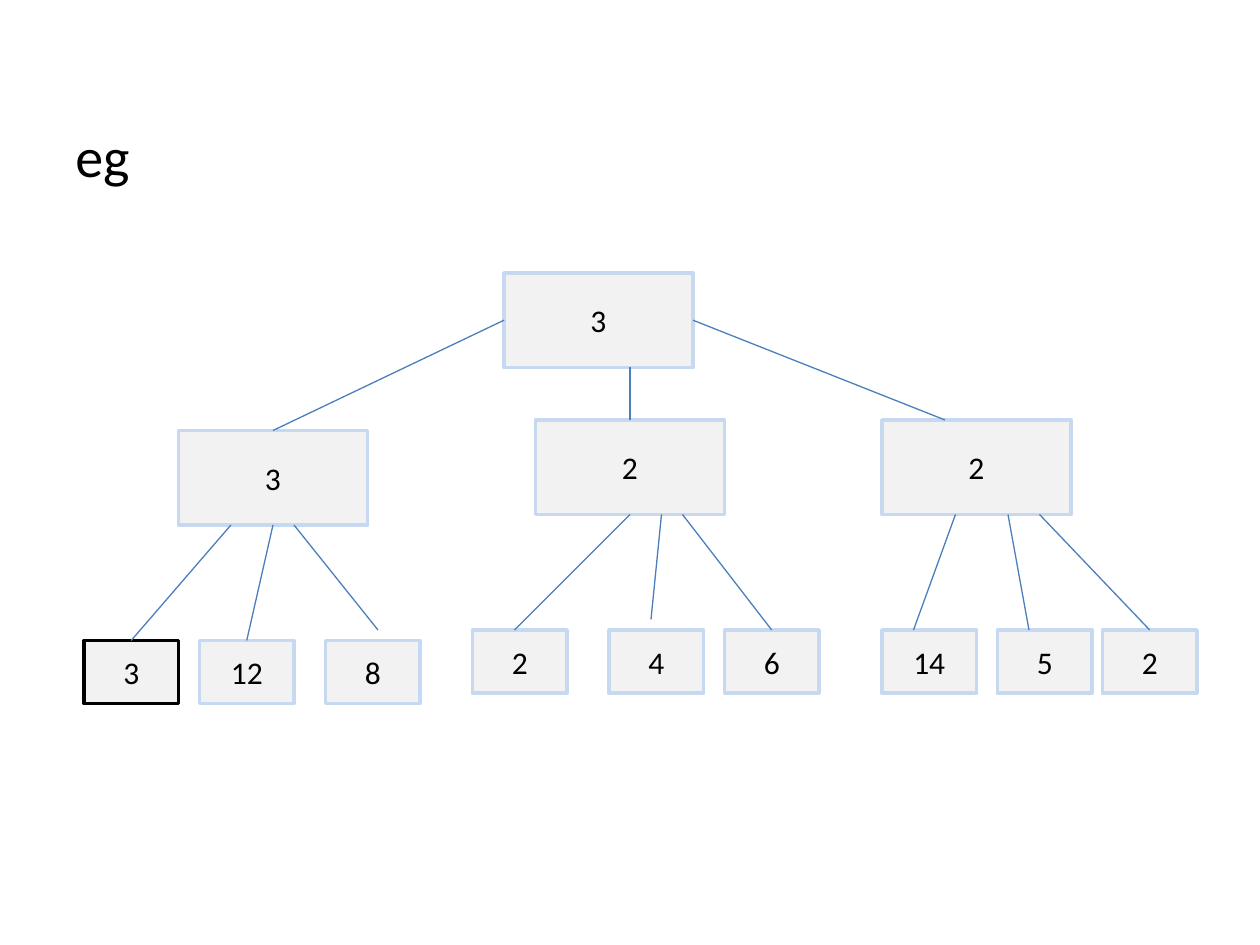
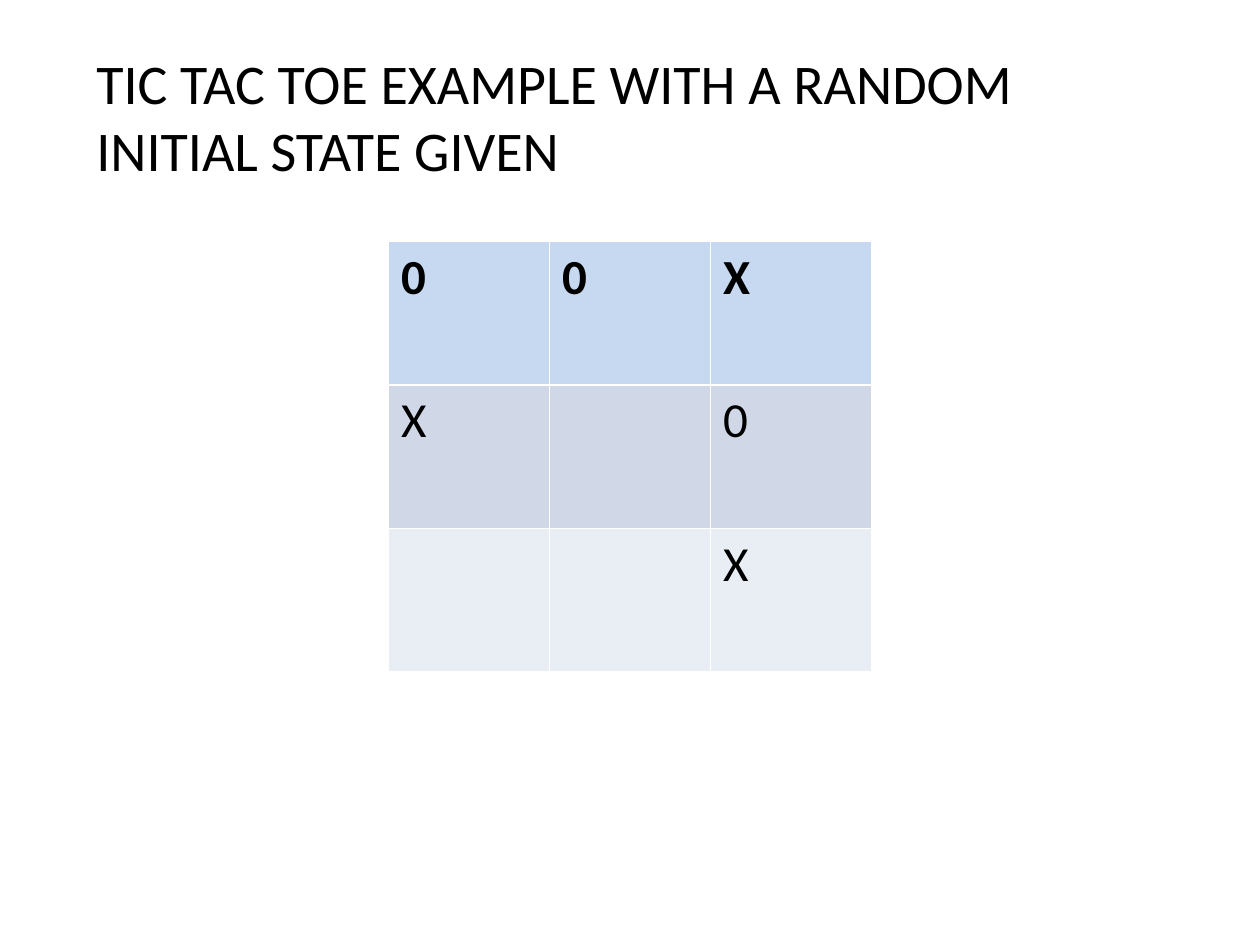
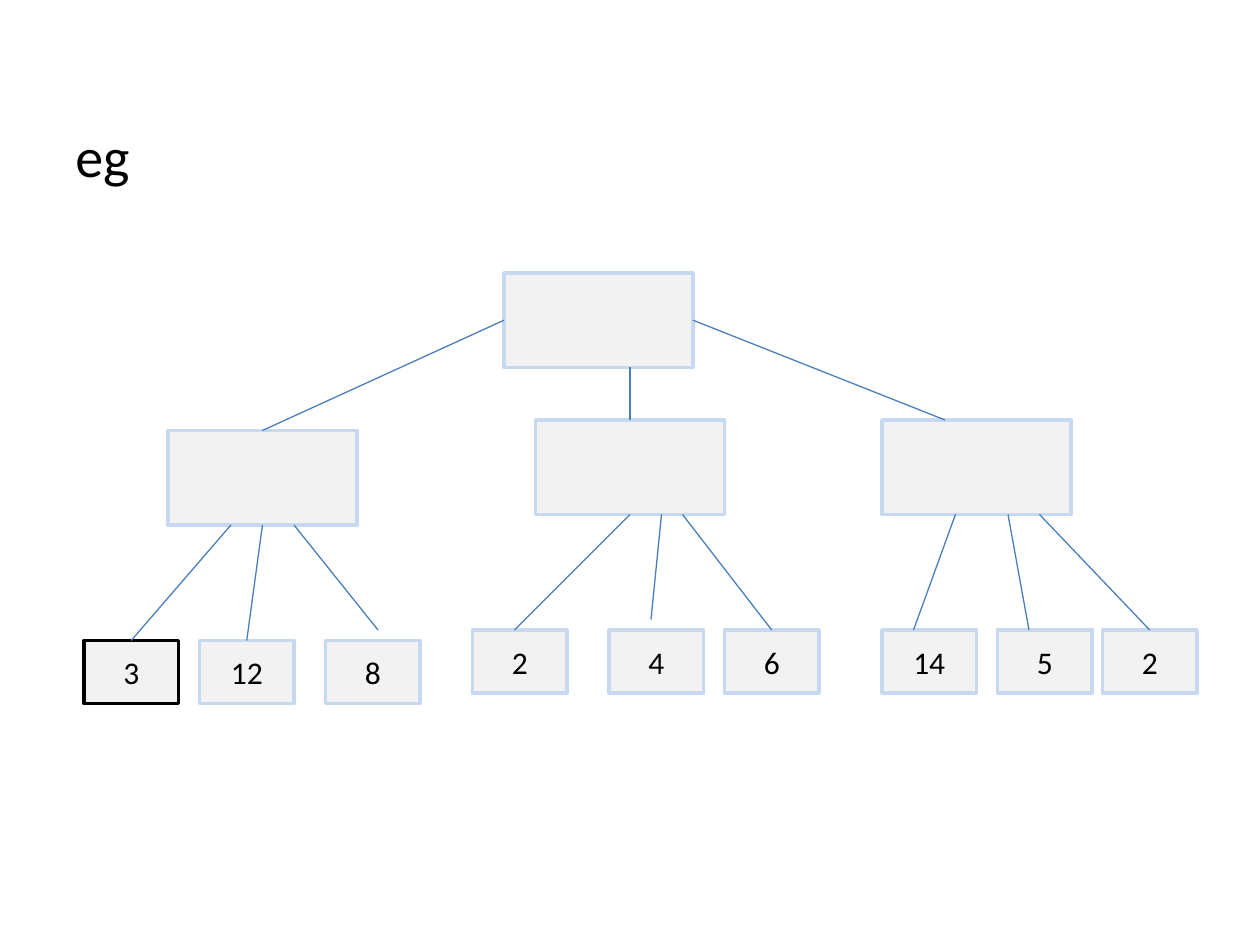
from lxml import etree
from pptx import Presentation
from pptx.dml.color import RGBColor
from pptx.enum.shapes import MSO_CONNECTOR, MSO_SHAPE
from pptx.enum.text import MSO_ANCHOR, PP_ALIGN
from pptx.oxml.ns import qn
from pptx.util import Pt

PX = 7620  # EMU, 120 px to the inch
SLIDE_SIZE = (1200, 900)
FONT = "Calibri"
BLACK = RGBColor(0x00, 0x00, 0x00)
BOX_FILL = RGBColor(0xF2, 0xF2, 0xF2)
BOX_LINE = RGBColor(0xC6, 0xD9, 0xF1)
EDGE_LINE = RGBColor(0x4B, 0x7E, 0xBC)
ROW_FILLS = [BOX_LINE, RGBColor(0xD0, 0xD8, 0xE8), RGBColor(0xE9, 0xED, 0xF4)]
RECTANGLE = MSO_SHAPE.RECTANGLE
STRAIGHT = MSO_CONNECTOR.STRAIGHT
CENTER = PP_ALIGN.CENTER
MIDDLE = MSO_ANCHOR.MIDDLE

TREE_TITLE = "eg"
TREE_TITLE_BOX = (60, 110, 1080, 694)
NODE_SIZE = (180, 90)
LEAF_SIZE = (90, 60)
ROOT_AT = (480, 260)
BRANCH_TOPS = [410, 400, 400]
BRANCH_LEFTS = [170, 510, 840]
BRANCH_LEFTS_UNSOLVED = [160, 510, 840]
BRANCH_EDGE_TOPS = [260, 600, 900]
LEAF_TOPS = [610, 600, 600]
LEAVES = [
    [("3", 80), ("12", 190), ("8", 310)],
    [("2", 450), ("4", 580), ("6", 690)],
    [("14", 840), ("5", 950), ("2", 1050)],
]
# (x at the branch, x at the leaf, y at the leaf); None is the branch's centre
LEAF_EDGES = [
    [(220, 125, 610), (None, 235, 610), (280, 360, 600)],
    [(600, 490, 600), (630, 620, 590), (650, 735, 600)],
    [(910, 870, 600), (960, 980, 600), (990, 1095, 600)],
]

BOARD_TITLE = "TIC TAC TOE EXAMPLE WITH A RANDOM INITIAL STATE GIVEN"
BOARD_TITLE_BOX = (80, 40, 1000, 141)
BOARD = ["00X", "X 0", "  X"]
BOARD_BOX = (370, 230, 460, 410)


def emu(lengths):
    return [length * PX for length in lengths]


def write(text_frame, text, size, bold=False):
    paragraph = text_frame.paragraphs[0]
    run = paragraph.add_run()
    run.text = text
    run.font.name = FONT
    run.font.size = Pt(size)
    run.font.bold = bold
    run.font.color.rgb = BLACK
    return paragraph


def add_title(slide, text, box):
    text_frame = slide.shapes.add_textbox(*emu(box)).text_frame
    text_frame.word_wrap = True
    write(text_frame, text, 32)


def add_box(slide, text, position, size, line=BOX_LINE):
    shape = slide.shapes.add_shape(RECTANGLE, *emu(position + size))
    shape.shadow.inherit = False
    shape.fill.solid()
    shape.fill.fore_color.rgb = BOX_FILL
    shape.line.color.rgb = line
    shape.line.width = Pt(2)
    if text:
        shape.text_frame.vertical_anchor = MIDDLE
        write(shape.text_frame, text, 18).alignment = CENTER


def add_edge(slide, start, end):
    connector = slide.shapes.add_connector(STRAIGHT, *emu(start + end))
    connector.line.color.rgb = EDGE_LINE
    connector.line.width = Pt(0.75)
    etree.SubElement(connector._element.spPr, qn("a:effectLst"))


def add_tree_slide(slide, root_value, branch_values, branch_lefts):
    add_title(slide, TREE_TITLE, TREE_TITLE_BOX)
    width, height = NODE_SIZE
    root_left, root_top = ROOT_AT
    root_middle = root_top + height // 2
    add_box(slide, root_value, ROOT_AT, NODE_SIZE)
    for value, left, top in zip(branch_values, branch_lefts, BRANCH_TOPS):
        add_box(slide, value, (left, top), NODE_SIZE)
    for leaves, top in zip(LEAVES, LEAF_TOPS):
        for value, left in leaves:
            line = BLACK if value == "3" else BOX_LINE
            add_box(slide, value, (left, top), LEAF_SIZE, line)

    root_ends = [
        (root_left, root_middle),
        (BRANCH_EDGE_TOPS[1], root_top + height),
        (root_left + width, root_middle),
    ]
    edge_tops = [branch_lefts[0] + width // 2] + BRANCH_EDGE_TOPS[1:]
    for x, top, root_end in zip(edge_tops, BRANCH_TOPS, root_ends):
        add_edge(slide, (x, top), root_end)
    for edges, left, top in zip(LEAF_EDGES, branch_lefts, BRANCH_TOPS):
        for branch_x, leaf_x, leaf_y in edges:
            start_x = branch_x or left + width // 2
            add_edge(slide, (leaf_x, leaf_y), (start_x, top + height))


def add_board_slide(slide):
    table = slide.shapes.add_table(len(BOARD), len(BOARD[0]), *emu(BOARD_BOX)).table
    for row, (marks, fill) in enumerate(zip(BOARD, ROW_FILLS)):
        for column, mark in enumerate(marks):
            cell = table.cell(row, column)
            cell.fill.solid()
            cell.fill.fore_color.rgb = fill
            if mark != " ":
                write(cell.text_frame, mark, 28, bold=row == 0)
    add_title(slide, BOARD_TITLE, BOARD_TITLE_BOX)


def main():
    presentation = Presentation()
    presentation.slide_width, presentation.slide_height = emu(SLIDE_SIZE)
    blank = presentation.slide_layouts[6]
    solved, board, unsolved = [presentation.slides.add_slide(blank) for _ in range(3)]
    add_tree_slide(solved, "3", ["3", "2", "2"], BRANCH_LEFTS)
    add_board_slide(board)
    add_tree_slide(unsolved, "", ["", "", ""], BRANCH_LEFTS_UNSOLVED)
    presentation.save("out.pptx")


if __name__ == "__main__":
    main()
